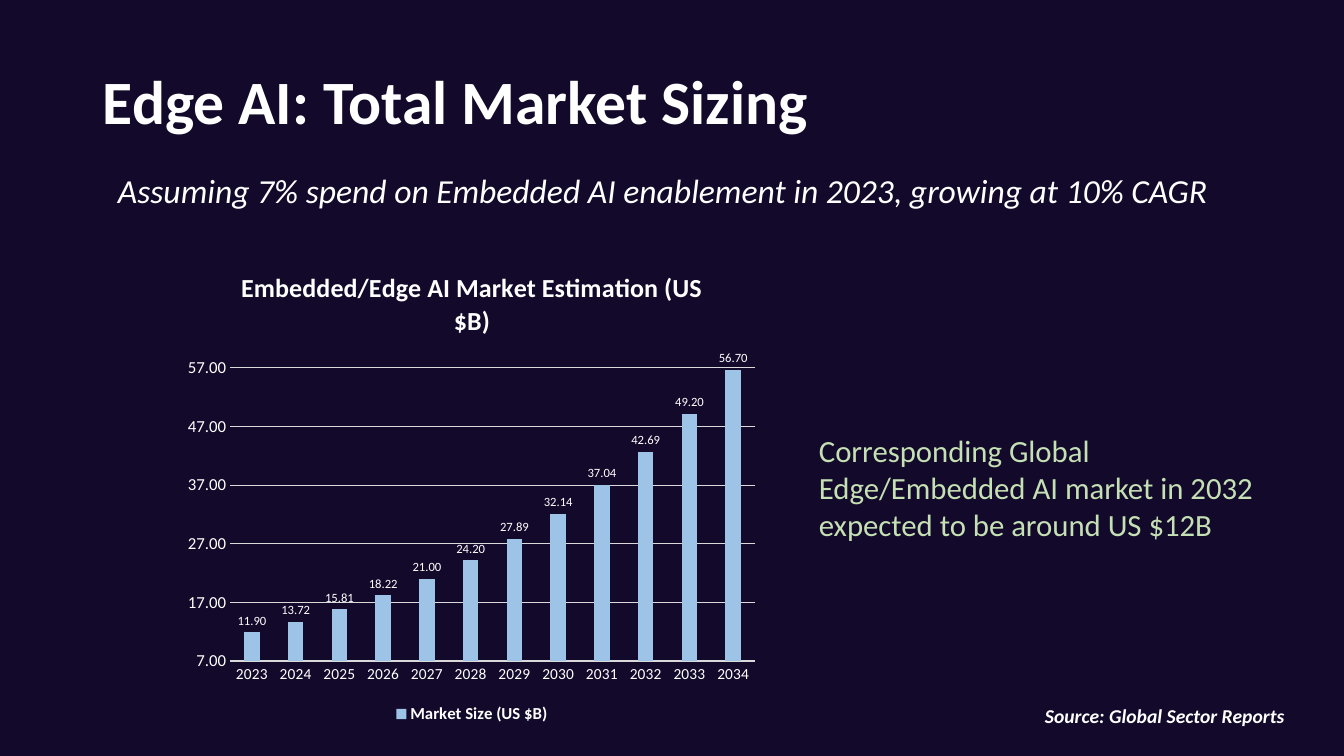
from lxml import etree
from pptx import Presentation
from pptx import util as u
from pptx.chart.data import CategoryChartData
from pptx.dml.color import RGBColor
from pptx.enum import chart as chart_enum
from pptx.enum import text
from pptx.oxml.ns import qn

EMU_PER_PX = 914400 / 100.8
FONT = "Calibri"
NAVY = RGBColor(0x13, 0x09, 0x2A)
WHITE = RGBColor(0xFF, 0xFF, 0xFF)
GREEN = RGBColor(0xC5, 0xE0, 0xB4)
BLUE = RGBColor(0x9D, 0xC3, 0xE6)
GREY = RGBColor(0xD9, 0xD9, 0xD9)

FIRST_YEAR = 2023
MARKET_SIZES = [11.90, 13.72, 15.81, 18.22, 21.00, 24.20,
                27.89, 32.14, 37.04, 42.69, 49.20, 56.70]


def px(length):
    return u.Emu(round(length * EMU_PER_PX))


def set_font(font, size, color=WHITE, bold=False, italic=False):
    font.name = FONT
    font.size = u.Pt(size)
    font.color.rgb = color
    font.bold = bold
    font.italic = italic


def add_text(slide, box, wording, size, color=WHITE, bold=False, italic=False,
             anchor=text.MSO_ANCHOR.TOP, wrap=True, line_spacing=1.0, space_before=0):
    shape = slide.shapes.add_textbox(*map(px, box))
    frame = shape.text_frame
    frame.word_wrap = wrap
    frame.vertical_anchor = anchor
    paragraph = frame.paragraphs[0]
    paragraph.text = wording
    paragraph.line_spacing = line_spacing
    paragraph.space_before = u.Pt(space_before)
    set_font(paragraph.font, size, color, bold, italic)


def set_line(line, color):
    line.color.rgb = color
    line.width = u.Pt(0.75)


def set_plot_layout(chart, **fractions):
    """Fix the inner plot area as fractions of the chart frame."""
    plot_area = chart.plots[0]._element.getparent()
    layout = plot_area.find(qn("c:layout"))
    if layout is None:
        layout = etree.Element(qn("c:layout"))
        plot_area.insert(0, layout)
    manual = etree.SubElement(layout, qn("c:manualLayout"))
    settings = {"layoutTarget": "inner", "xMode": "edge", "yMode": "edge", **fractions}
    for name, value in settings.items():
        etree.SubElement(manual, qn(f"c:{name}")).set("val", str(value))


def style_axes(chart):
    years = chart.category_axis
    years.major_tick_mark = chart_enum.XL_TICK_MARK.NONE
    set_line(years.format.line, GREY)
    set_font(years.tick_labels.font, 11)

    sizes = chart.value_axis
    sizes.minimum_scale, sizes.maximum_scale, sizes.major_unit = 7, 60, 10
    sizes.major_tick_mark = chart_enum.XL_TICK_MARK.NONE
    sizes.format.line.fill.background()
    set_line(sizes.major_gridlines.format.line, GREY)
    set_font(sizes.tick_labels.font, 12)
    sizes.tick_labels.number_format = "0.00"
    sizes.tick_labels.number_format_is_linked = False


def add_market_chart(slide, box):
    data = CategoryChartData(number_format="0.00")
    data.categories = [str(FIRST_YEAR + i) for i in range(len(MARKET_SIZES))]
    data.add_series("Market Size (US $B)", MARKET_SIZES)
    chart = slide.shapes.add_chart(
        chart_enum.XL_CHART_TYPE.COLUMN_CLUSTERED, *map(px, box), data).chart
    set_font(chart.font, 10)

    # Title and legend
    paragraph = chart.chart_title.text_frame.paragraphs[0]
    paragraph.text = "Embedded/Edge AI Market Estimation (US $B)"
    set_font(paragraph.font, 18.6, bold=True)
    chart.has_legend = True
    chart.legend.position = chart_enum.XL_LEGEND_POSITION.BOTTOM
    chart.legend.include_in_layout = False
    set_font(chart.legend.font, 12, bold=True)

    style_axes(chart)
    set_plot_layout(chart, x=0.09, y=0.21, w=0.89, h=0.65)

    # Columns and their values
    plot = chart.plots[0]
    plot.gap_width = 182
    plot.vary_by_categories = False
    series = plot.series[0]
    series.format.fill.solid()
    series.format.fill.fore_color.rgb = BLUE
    labels = series.data_labels
    labels.show_value = True
    labels.position = chart_enum.XL_LABEL_POSITION.OUTSIDE_END
    labels.number_format = "0.00"
    labels.number_format_is_linked = False
    set_font(labels.font, 9)


def main():
    presentation = Presentation()
    presentation.slide_width, presentation.slide_height = px(1344), px(756)
    slide = presentation.slides.add_slide(presentation.slide_layouts[6])
    slide.background.fill.solid()
    slide.background.fill.fore_color.rgb = NAVY

    # Heading
    add_text(slide, (93, 40, 1159, 130), "Edge AI: Total Market Sizing", 44,
             bold=True, anchor=text.MSO_ANCHOR.MIDDLE, line_spacing=0.9)
    add_text(slide, (108, 170, 1187, 60),
             "Assuming 7% spend on Embedded AI enablement in 2023, growing at 10% CAGR",
             24, italic=True, line_spacing=0.9, space_before=10)

    # Market growth and takeaway
    add_market_chart(slide, (177, 250, 590, 478))
    add_text(slide, (809, 427, 486, 122),
             "Corresponding Global Edge/Embedded AI market in 2032 "
             "expected to be around US $12B", 22, GREEN)

    # Source
    add_text(slide, (1035, 699, 271, 34), "Source: Global Sector Reports", 14,
             bold=True, italic=True, wrap=False)

    presentation.save("out.pptx")


if __name__ == "__main__":
    main()
